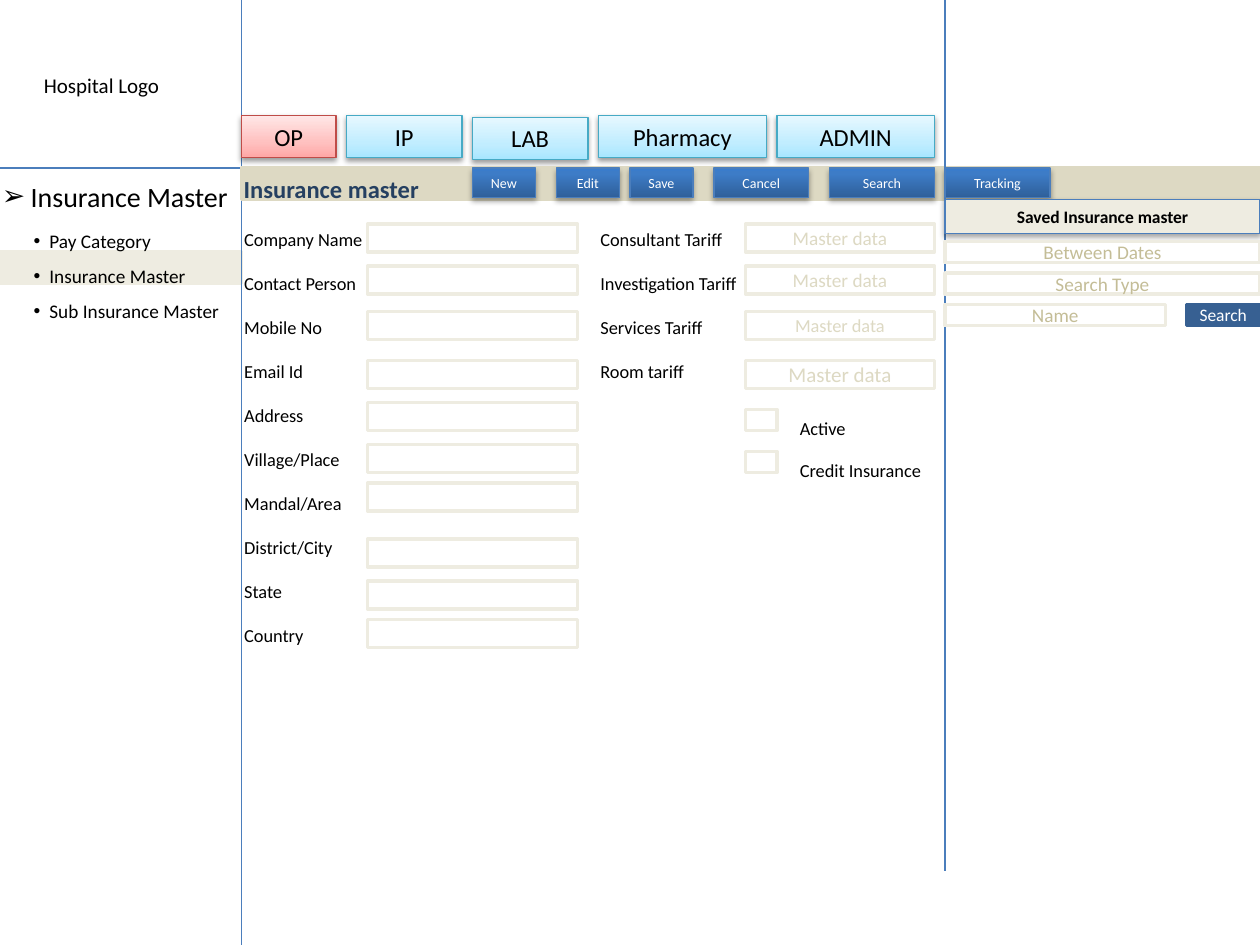
from dataclasses import dataclass
from typing import Optional

from lxml.etree import SubElement
from pptx import Presentation
from pptx.dml.color import RGBColor
from pptx.enum.shapes import MSO_CONNECTOR as Connector, MSO_SHAPE as Shape
from pptx.enum.text import MSO_ANCHOR as Anchor, MSO_AUTO_SIZE as AutoSize, PP_ALIGN as Align
from pptx.oxml.ns import qn
from pptx.util import Pt

FONT = "Calibri"
BLACK, WHITE = "000000", "FFFFFF"
CREAM, SAND, KHAKI = "EEECE1", "DDD9C3", "C4BD97"
BLUE, NAVY, STEEL = "4B7EBC", "254061", "376092"


@dataclass(frozen=True)
class Gradient:
    stops: tuple
    line: str
    shadow_alpha: int
    shadow_distance: float


RED_TAB = Gradient(((0, "FFA6A5"), (35, "FFC0BF"), (100, "FFE7E7")), "BF4C48", 38, 1.6)
CYAN_TAB = Gradient(((0, "A7E6FF"), (35, "C1EDFF"), (100, "E7F8FF")), "46AAC5", 38, 1.6)
BUTTON = Gradient(((0, "2F5F99"), (80, "3D7CC7"), (100, "3A7CCB")), BLUE, 35, 1.8)


@dataclass(frozen=True)
class Box:
    left: float
    top: float
    width: float
    height: float
    text: str = ""
    size: float = 11
    color: str = BLACK
    fill: str = WHITE
    line: str = CREAM
    line_width: float = 2
    bold: bool = False
    anchor: Anchor = Anchor.MIDDLE
    gradient: Optional[Gradient] = None


@dataclass(frozen=True)
class Label:
    left: float
    top: float
    width: float
    height: float
    lines: tuple
    size: float = 10.5
    color: str = BLACK
    spacing: float = 1
    bold: bool = False
    bullet: str = ""
    indent: float = 0


def rgb(value: str) -> RGBColor:
    return RGBColor.from_string(value)


def format_runs(paragraph, size: float, color: str, bold: bool) -> None:
    for run in paragraph.runs:
        run.font.name = FONT
        run.font.size = Pt(size)
        run.font.bold = bold
        run.font.color.rgb = rgb(color)


def add_color(parent, value: str):
    return SubElement(parent, qn("a:srgbClr"), val=value)


def add_shadow(shape, alpha: int, distance: float) -> None:
    effects = shape.element.find(".//" + qn("a:effectLst"))
    shadow = SubElement(effects, qn("a:outerShdw"), blurRad=str(Pt(3.1)), dist=str(Pt(distance)),
                        dir="5400000", rotWithShape="0")
    SubElement(add_color(shadow, BLACK), qn("a:alpha"), val=str(alpha * 1000))


def fill_gradient(shape, gradient: Gradient) -> None:
    shape.fill.gradient()
    shape.fill.gradient_angle = 90
    stops = shape.element.find(".//" + qn("a:gsLst"))
    for stop in list(stops):
        stops.remove(stop)
    for position, color in gradient.stops:
        add_color(SubElement(stops, qn("a:gs"), pos=str(position * 1000)), color)


def draw_box(slide, box: Box):
    shape = slide.shapes.add_shape(Shape.RECTANGLE, Pt(box.left), Pt(box.top), Pt(box.width), Pt(box.height))
    shape.shadow.inherit = False
    if box.gradient:
        fill_gradient(shape, box.gradient)
        add_shadow(shape, box.gradient.shadow_alpha, box.gradient.shadow_distance)
    else:
        shape.fill.solid()
        shape.fill.fore_color.rgb = rgb(box.fill)
    shape.line.color.rgb = rgb(box.gradient.line if box.gradient else box.line)
    shape.line.width = Pt(box.line_width)
    if box.text:
        frame = shape.text_frame
        frame.text = box.text
        frame.word_wrap = True
        frame.vertical_anchor = box.anchor
        frame.paragraphs[0].alignment = Align.CENTER
        format_runs(frame.paragraphs[0], box.size, box.color, box.bold)
    return shape


def write_label(shape, label: Label) -> None:
    shape.left, shape.top = Pt(label.left), Pt(label.top)
    shape.width, shape.height = Pt(label.width), Pt(label.height)
    frame = shape.text_frame
    frame.text = "\n".join(label.lines)
    frame.word_wrap = False
    frame.auto_size = AutoSize.SHAPE_TO_FIT_TEXT
    frame.vertical_anchor = Anchor.TOP
    for paragraph in frame.paragraphs:
        if label.bullet:
            properties = paragraph._p.get_or_add_pPr()
            properties.set("marL", str(Pt(label.indent)))
            properties.set("indent", str(-Pt(label.indent)))
            SubElement(properties, qn("a:buFont"), typeface="Arial")
            SubElement(properties, qn("a:buChar"), char=label.bullet)
        paragraph.alignment = Align.LEFT
        paragraph.line_spacing = label.spacing
        paragraph.space_before = Pt(0)
        format_runs(paragraph, label.size, label.color, label.bold)


def draw_label(slide, label: Label) -> None:
    write_label(slide.shapes.add_textbox(0, 0, 0, 0), label)


def draw_line(slide, x1: float, y1: float, x2: float, y2: float) -> None:
    line = slide.shapes.add_connector(Connector.STRAIGHT, Pt(x1), Pt(y1), Pt(x2), Pt(y2))
    line.line.color.rgb = rgb(BLUE)
    line.line.width = Pt(0.75)
    SubElement(line.element.spPr, qn("a:effectLst"))


def bring_to_front(shape) -> None:
    shape.element.getparent().append(shape.element)


def main() -> None:
    presentation = Presentation()
    presentation.slide_width, presentation.slide_height = Pt(720), Pt(540)
    slide = presentation.slides.add_slide(presentation.slide_layouts[1])
    title, menu = slide.placeholders[0], slide.placeholders[1]

    draw_box(slide, Box(0, 144, 138, 18, fill=CREAM))
    draw_label(slide, Label(-6, 89.3, 148.3, 33, ("Insurance Master",), 16, spacing=1.5, bullet="➢", indent=16.5))
    write_label(menu, Label(12, 121, 124, 67, ("Pay Category", "Insurance Master", "Sub Insurance Master"),
                            11, spacing=1.5, bullet="•", indent=9))
    bring_to_front(menu)
    draw_line(slide, 0, 96, 720, 96)
    draw_line(slide, 138, 0, 138, 540)
    draw_label(slide, Label(18, 38, 81.4, 21.8, ("Hospital Logo",), 12))

    tabs = (("OP", 138, 66, 54, RED_TAB), ("IP", 198, 66, 66, CYAN_TAB), ("LAB", 270, 67, 66, CYAN_TAB),
            ("Pharmacy", 342, 66, 96, CYAN_TAB), ("ADMIN", 444, 66, 90, CYAN_TAB))
    for text, left, top, width, gradient in tabs:
        draw_box(slide, Box(left, top, width, 24.2, text, 14, line_width=0.75,
                            anchor=Anchor.TOP, gradient=gradient))

    draw_box(slide, Box(138, 96, 582, 18, fill=SAND, line=SAND))
    write_label(title, Label(132, 96, 115.3, 24.2, ("Insurance master",), 14, NAVY, bold=True))
    bring_to_front(title)

    buttons = (("New", 270, 36), ("Edit", 318, 36), ("Save", 360, 36),
               ("Cancel", 408, 54), ("Search", 474, 60), ("Tracking", 540, 60))
    for text, left, width in buttons:
        draw_box(slide, Box(left, 96, width, 17, text, 8, WHITE, line_width=0.75,
                            anchor=Anchor.TOP, gradient=BUTTON))

    field_tops = (128, 152, 178, 206, 230, 254, 276, 308, 332, 354)
    for top in field_tops:
        draw_box(slide, Box(210, top, 120, 16))
    for top, size in zip(field_tops, (11, 11, 10.5, 12)):
        draw_box(slide, Box(426, top, 108, 16, "Master data", size, SAND))

    draw_label(slide, Label(132.5, 114, 83.5, 262, (
        "Company Name", "Contact Person", "Mobile No", "Email Id", "Address", "Village/Place",
        "Mandal/Area", "District/City", "State", "Country"), spacing=2))
    draw_label(slide, Label(336, 114, 95, 108.7, (
        "Consultant Tariff", "Investigation Tariff", "Services Tariff", "Room tariff"), spacing=2))
    draw_line(slide, 540, 0, 540, 498)

    for row, (text, width) in enumerate((("Active", 41), ("Credit Insurance", 85))):
        draw_label(slide, Label(450, 222 + 24 * row, width, 28.8, (text,), spacing=2))
        draw_box(slide, Box(426, 234 + 24 * row, 18, 12))

    saved = draw_box(slide, Box(540, 114, 180, 19.4, "Saved Insurance master", 10, fill=CREAM, line=BLUE,
                                line_width=0.75, bold=True, anchor=Anchor.TOP))
    add_shadow(saved, BUTTON.shadow_alpha, BUTTON.shadow_distance)
    for row, (text, width) in enumerate((("Between Dates", 180), ("Search Type", 180), ("Name", 126))):
        draw_box(slide, Box(540, 138 + 18 * row, width, 12, text, color=KHAKI))
    draw_box(slide, Box(678, 174, 42, 12, "Search", 10, WHITE, STEEL, STEEL))

    presentation.save("out.pptx")


if __name__ == "__main__":
    main()
